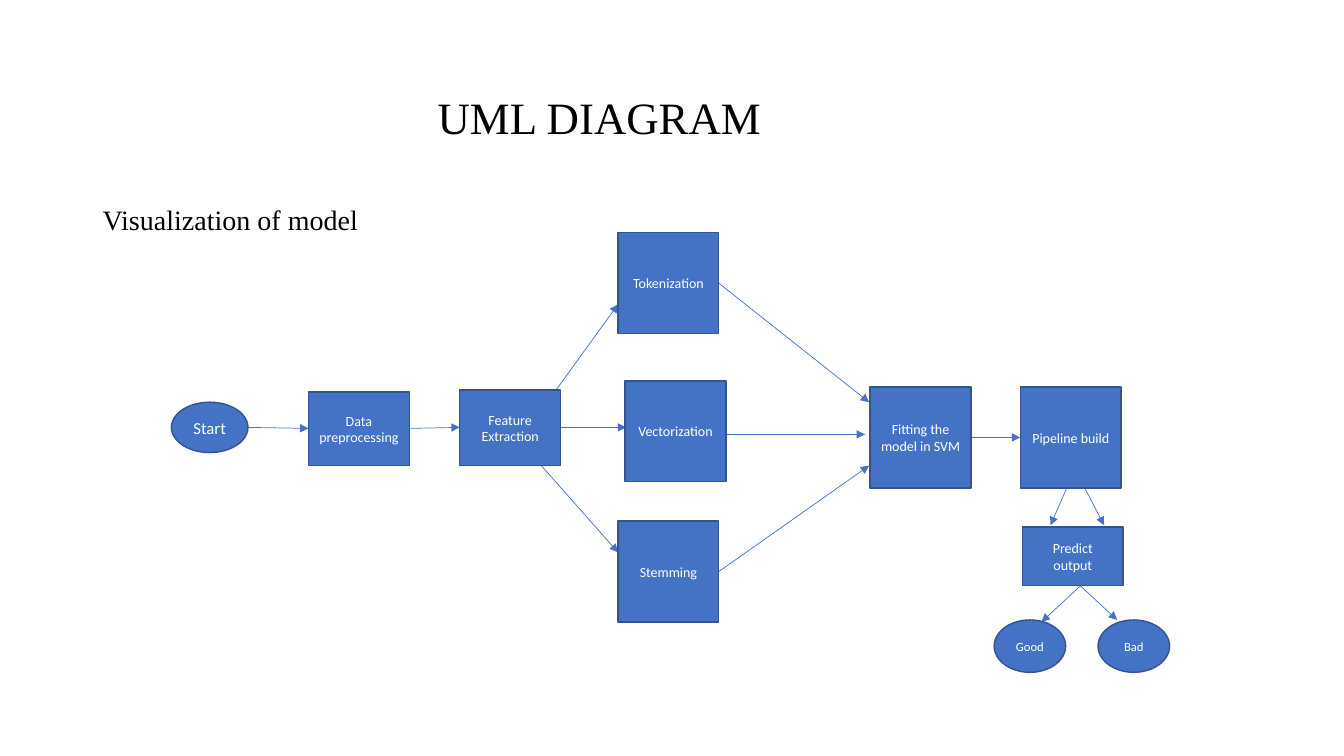
from typing import NamedTuple

from lxml import etree
from pptx import Presentation
from pptx.dml.color import RGBColor
from pptx.enum.shapes import MSO_CONNECTOR, MSO_SHAPE
from pptx.enum.text import MSO_ANCHOR, MSO_AUTO_SIZE, PP_ALIGN
from pptx.oxml.ns import qn
from pptx.util import Inches, Pt

RECT, OVAL = MSO_SHAPE.RECTANGLE, MSO_SHAPE.OVAL
LINE = MSO_CONNECTOR.STRAIGHT
LEFT, CENTER = PP_ALIGN.LEFT, PP_ALIGN.CENTER
MIDDLE, TOP = MSO_ANCHOR.MIDDLE, MSO_ANCHOR.TOP
NO_FIT = MSO_AUTO_SIZE.NONE

BLUE = RGBColor(0x44, 0x72, 0xC4)
NAVY = RGBColor(0x32, 0x54, 0x91)
WHITE = RGBColor(0xFF, 0xFF, 0xFF)
BLACK = RGBColor(0x00, 0x00, 0x00)
SANS, SERIF = "Calibri", "Times New Roman"


class Node(NamedTuple):
    text: str
    x: float
    y: float
    wide: float = 1
    high: float = 1
    kind: int = RECT
    size: float = 10


class Arrow(NamedTuple):
    x1: float
    y1: float
    x2: float
    y2: float


NODES = [
    Node("Start", 1.7, 3.99, 0.76, 0.5, OVAL, 12),
    Node("Data preprocessing", 3.06, 3.89, high=0.73),
    Node("Feature\nExtraction", 4.56, 3.87, high=0.75),
    Node("Tokenization", 6.13, 2.31),
    Node("Vectorization", 6.2, 3.78),
    Node("Stemming", 6.13, 5.17),
    Node("Fitting the model in SVM", 8.63, 3.84),
    Node("Pipeline build", 10.12, 3.84),
    Node("Predict output", 10.14, 5.23, high=0.58),
    Node("Good", 9.86, 6.15, 0.71, 0.52, OVAL, 9),
    Node("Bad", 10.89, 6.15, 0.71, 0.52, OVAL, 9),
]

ARROWS = [
    # Start to feature extraction
    Arrow(2.46, 4.24, 3.06, 4.25),
    Arrow(4.06, 4.25, 4.56, 4.24),
    # Out to the three text steps
    Arrow(5.5, 3.89, 6.13, 3.02),
    Arrow(5.47, 4.24, 6.21, 4.24),
    Arrow(5.37, 4.62, 6.13, 5.48),
    # Back into the model
    Arrow(7.13, 2.81, 8.62, 3.99),
    Arrow(7.21, 4.31, 8.58, 4.31),
    Arrow(7.13, 5.67, 8.62, 4.62),
    # Pipeline to output and its two classes
    Arrow(9.63, 4.34, 10.12, 4.34),
    Arrow(10.78, 4.38, 10.42, 5.21),
    Arrow(10.52, 4.38, 10.95, 5.21),
    Arrow(10.74, 5.79, 10.33, 6.17),
    Arrow(10.67, 5.77, 11.08, 6.15),
]


def place(shape, x: float, y: float, wide: float, high: float) -> None:
    shape.left, shape.top = Inches(x), Inches(y)
    shape.width, shape.height = Inches(wide), Inches(high)


def write(shape, text: str, size: float, font: str, color: RGBColor,
          align: int, anchor: int, space: float = 1) -> None:
    frame = shape.text_frame
    frame.word_wrap = True
    frame.auto_size = NO_FIT
    frame.vertical_anchor = anchor
    for i, words in enumerate(text.split("\n")):
        para = frame.add_paragraph() if i else frame.paragraphs[0]
        para.alignment = align
        para.line_spacing = space
        run = para.add_run()
        run.text = words
        run.font.size = Pt(size)
        run.font.name = font
        run.font.color.rgb = color


def draw_arrow(slide, arrow: Arrow) -> None:
    link = slide.shapes.add_connector(LINE, *(Inches(v) for v in arrow))
    link.line.color.rgb = BLUE
    link.line.width = Pt(0.5)
    tip = etree.SubElement(link.line._get_or_add_ln(), qn("a:tailEnd"))
    tip.set("type", "triangle")
    etree.SubElement(link._element.spPr, qn("a:effectLst"))


def draw_node(slide, node: Node) -> None:
    spot = (Inches(v) for v in (node.x, node.y, node.wide, node.high))
    shape = slide.shapes.add_shape(node.kind, *spot)
    shape.shadow.inherit = False
    shape.fill.solid()
    shape.fill.fore_color.rgb = BLUE
    shape.line.color.rgb = NAVY
    shape.line.width = Pt(1)
    write(shape, node.text, node.size, SANS, WHITE, CENTER, MIDDLE)


deck = Presentation()
deck.slide_width, deck.slide_height = Inches(13.33), Inches(7.5)
slide = deck.slides.add_slide(deck.slide_layouts[5])

# Title, set in from the left margin
title = slide.shapes.title
place(title, 0.92, 0.47, 11.5, 1.45)
title.text_frame.margin_left = Inches(3.42)
write(title, "UML DIAGRAM", 32, SERIF, BLACK, LEFT, MIDDLE, 0.9)

# Lead line
lead = slide.shapes.add_textbox(Inches(0.92), Inches(2), Inches(5), Inches(0.4))
write(lead, "Visualization of model", 20, SERIF, BLACK, LEFT, TOP, 0.9)

# Diagram: arrows lie beneath the nodes
for arrow in ARROWS:
    draw_arrow(slide, arrow)
for node in NODES:
    draw_node(slide, node)

deck.save("out.pptx")
